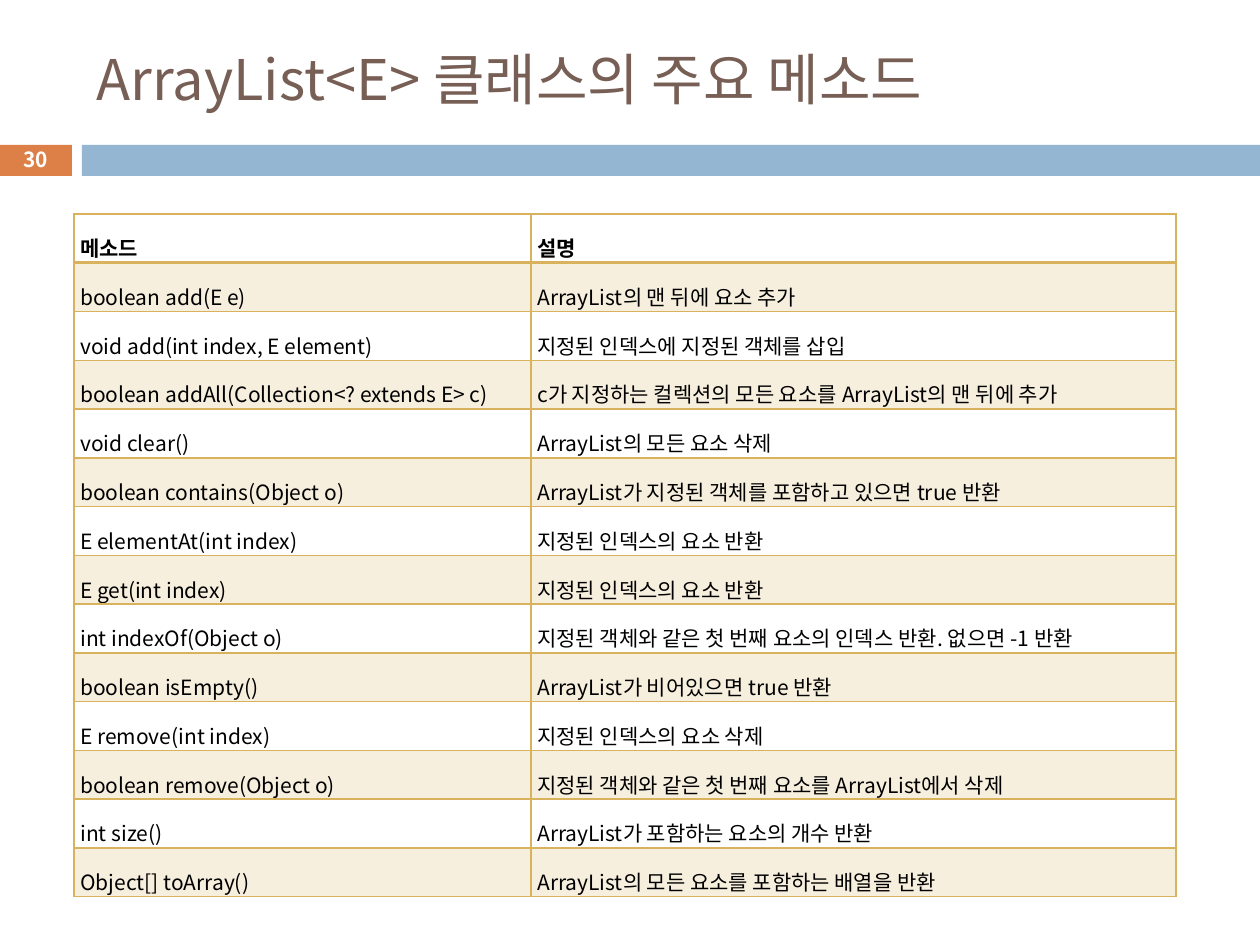
from lxml.etree import SubElement
from pptx import Presentation
from pptx.dml.color import RGBColor
from pptx.enum.shapes import MSO_SHAPE as Shape
from pptx.enum.text import MSO_ANCHOR as Anchor, PP_ALIGN as Align
from pptx.oxml.ns import qn
from pptx.util import Emu, Pt

PX = 914400 // 126
FONT = "Noto Sans CJK KR"
GOLD, BLACK, WHITE = "D8B25C", "000000", "FFFFFF"
TITLE = "ArrayList<E> 클래스의 주요 메소드"
PAGE_NUMBER = "30"
BARS = [((-1, 145, 73, 31), "DD8047"), ((82, 145, 1178, 31), "94B6D2")]
METHODS = [
    ("메소드", "설명"),
    ("boolean add(E e)", "ArrayList의 맨 뒤에 요소 추가"),
    ("void add(int index, E element)", "지정된 인덱스에 지정된 객체를 삽입"),
    ("boolean addAll(Collection<? extends E> c)",
     "c가 지정하는 컬렉션의 모든 요소를 ArrayList의 맨 뒤에 추가"),
    ("void clear()", "ArrayList의 모든 요소 삭제"),
    ("boolean contains(Object o)", "ArrayList가 지정된 객체를 포함하고 있으면 true 반환"),
    ("E elementAt(int index)", "지정된 인덱스의 요소 반환"),
    ("E get(int index)", "지정된 인덱스의 요소 반환"),
    ("int indexOf(Object o)", "지정된 객체와 같은 첫 번째 요소의 인덱스 반환. 없으면 -1 반환"),
    ("boolean isEmpty()", "ArrayList가 비어있으면 true 반환"),
    ("E remove(int index)", "지정된 인덱스의 요소 삭제"),
    ("boolean remove(Object o)", "지정된 객체와 같은 첫 번째 요소를 ArrayList에서 삭제"),
    ("int size()", "ArrayList가 포함하는 요소의 개수 반환"),
    ("Object[] toArray()", "ArrayList의 모든 요소를 포함하는 배열을 반환"),
]
TABLE_LEFT, TABLE_TOP, ROW_HEIGHT = 74, 214, 40
COLUMN_WIDTHS = [457, 645]


def px(*lengths):
    return [Emu(length * PX) for length in lengths]


def color(value):
    return RGBColor.from_string(value)


def write(frame, text, size, fill=BLACK, bold=False, align=Align.LEFT, spacing=None):
    frame.word_wrap = True
    paragraph = frame.paragraphs[0]
    paragraph.alignment = align
    paragraph.line_spacing = spacing
    run = paragraph.add_run()
    run.text = text
    run.font.size = Pt(size)
    run.font.bold = bold
    run.font.name = FONT
    run.font.color.rgb = color(fill)
    SubElement(run.font._element, qn("a:ea"), typeface=FONT)


def set_border(cell, side, points):
    line = SubElement(cell._tc.get_or_add_tcPr(), qn(f"a:ln{side}"), w=str(Pt(points)))
    SubElement(SubElement(line, qn("a:solidFill")), qn("a:srgbClr"), val=GOLD)


def format_cell(cell, text, row):
    cell.margin_left = cell.margin_right = Pt(3.6)
    cell.margin_top = cell.margin_bottom = 0
    cell.vertical_anchor = Anchor.MIDDLE
    write(cell.text_frame, text, 12, bold=row == 0, align=Align.JUSTIFY, spacing=1.6)
    widths = {"L": 1, "R": 1, "T": 2 if row == 1 else 1, "B": 2 if row == 0 else 1}
    for side, points in widths.items():
        set_border(cell, side, points)
    if row % 2:
        cell.fill.solid()
        cell.fill.fore_color.rgb = color(GOLD)
        tint = cell._tc.tcPr.find(qn("a:solidFill")).find(qn("a:srgbClr"))
        SubElement(tint, qn("a:alpha"), val="20000")
    else:
        cell.fill.background()


def add_method_table(slide):
    table = slide.shapes.add_table(
        len(METHODS), len(COLUMN_WIDTHS),
        *px(TABLE_LEFT, TABLE_TOP, sum(COLUMN_WIDTHS), ROW_HEIGHT * len(METHODS))).table
    table.first_row = table.horz_banding = False
    for column, width in zip(table.columns, px(*COLUMN_WIDTHS)):
        column.width = width
    for row, texts in enumerate(METHODS):
        for column, text in enumerate(texts):
            format_cell(table.cell(row, column), text, row)


def main():
    presentation = Presentation()
    presentation.slide_width, presentation.slide_height = px(1260, 945)
    slide = presentation.slides.add_slide(presentation.slide_layouts[5])

    for box, fill in BARS:
        bar = slide.shapes.add_shape(Shape.RECTANGLE, *px(*box))
        bar.shadow.inherit = False
        bar.fill.solid()
        bar.fill.fore_color.rgb = color(fill)
        bar.line.fill.background()

    title = slide.shapes.title
    title.left, title.top, title.width, title.height = px(84, 32, 1124, 93)
    title.text_frame.vertical_anchor = Anchor.MIDDLE
    write(title.text_frame, TITLE, 32, fill="775F55")

    add_method_table(slide)

    number = slide.shapes.add_textbox(*px(-1, 142, 73, 34)).text_frame
    number.vertical_anchor = Anchor.MIDDLE
    write(number, PAGE_NUMBER, 11.9, fill=WHITE, bold=True, align=Align.CENTER)

    presentation.save("out.pptx")


if __name__ == "__main__":
    main()
